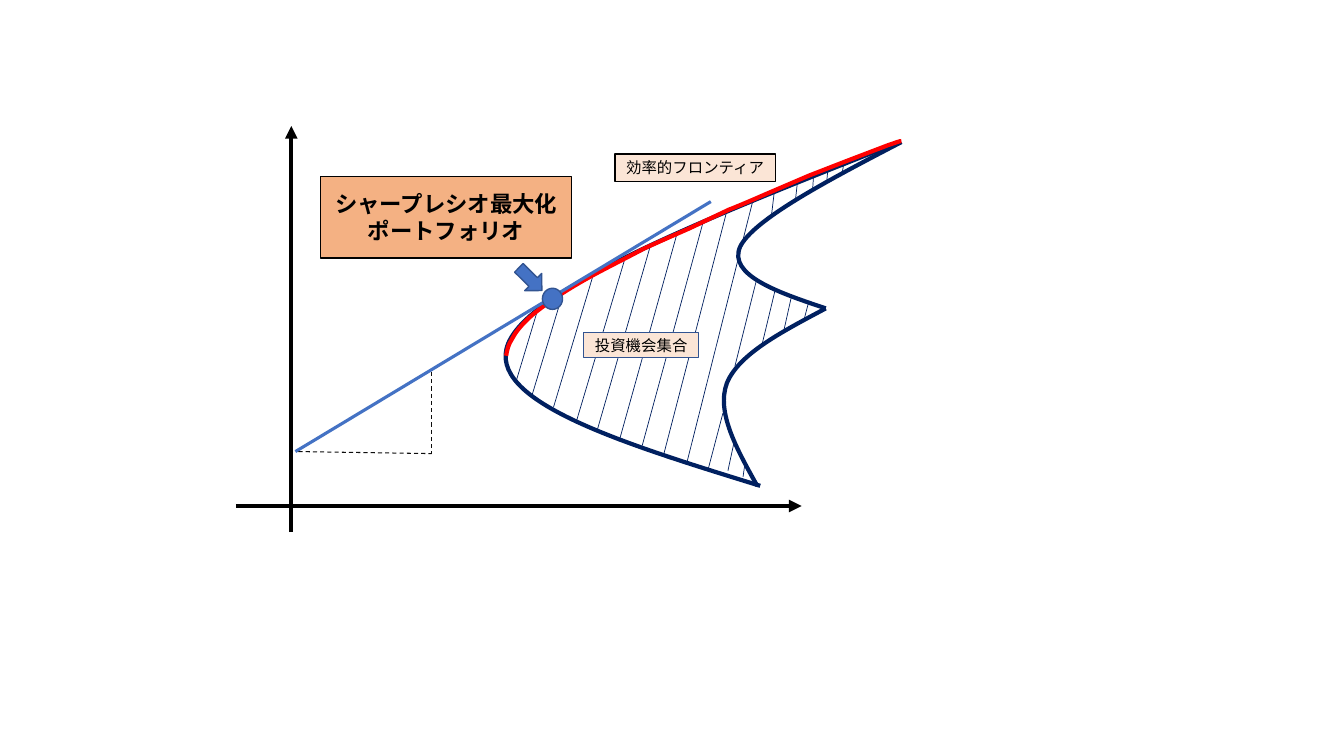
from pptx import Presentation
from pptx.dml.color import RGBColor
from pptx.enum.dml import MSO_LINE_DASH_STYLE as Dash
from pptx.enum.shapes import MSO_SHAPE as Preset
from pptx.enum.text import MSO_ANCHOR as Anchor, PP_ALIGN as Align
from pptx.oxml.ns import qn
from pptx.util import Emu, Pt
from lxml.etree import SubElement

PX = 9144  # EMU in one px, 100 px to the inch
SLIDE_SIZE = 1333, 750
FONT = "Noto Sans CJK JP"
BLACK, NAVY, RED = "000000", "002060", "FF0000"
BLUE, DARK_BLUE, DASH_GRAY = "4472C4", "325491", "0D0D0D"
PEACH, ORANGE = "FBE5D6", "F4B183"

AXES = [(289, 528, 289, 125), (234, 502, 795, 502)]

# Each curve: bounding box, start point, then segments as Bezier control points
# and end point; a segment of one point is straight.
UPPER_INNER_EDGE = (732, 141, 162, 166), (894, 141), [
    [(821, 179), (747, 218), (734, 245)],
    [(722, 273), (771, 290), (819, 306)],
]
LOWER_INNER_EDGE = (718, 306, 101, 176), (819, 306), [
    [(776, 329), (733, 351), (721, 380)],
    [(710, 409), (731, 446), (751, 482)],
]
OUTER_EDGE = (502, 141, 391, 341), (892, 141), [
    [(710, 213), (527, 284), (504, 341)],
    [(481, 398), (618, 440), (754, 482)],
]
EFFICIENT_FRONTIER = (502, 140, 392, 214), (502, 353), [
    [(503, 347), (504, 342), (508, 336)],
    [(511, 330), (516, 324), (522, 318)],
    [(529, 311), (537, 305), (549, 297)],
    [(560, 289), (577, 279), (592, 271)],
    [(607, 263), (623, 255), (638, 247)],
    [(653, 240), (683, 227), (683, 227)],
    [(723, 208)],
    [(736, 203), (761, 192), (761, 192)],
    [(803, 174)],
    [(816, 169), (839, 160), (839, 160)],
    [(881, 144)],
    [(890, 141), (892, 140), (894, 140)],
]

HATCHING = [
    (512, 378, 534, 305), (528, 391, 558, 292), (549, 404, 588, 274),
    (572, 417, 620, 256), (592, 428, 645, 244), (614, 438, 672, 230),
    (637, 442, 698, 218), (658, 452, 721, 209), (681, 460, 747, 198),
    (729, 363, 750, 279), (702, 467, 717, 410), (756, 341, 769, 287),
    (777, 330, 785, 294), (797, 319, 802, 300), (722, 467, 728, 439),
    (737, 473, 739, 459), (765, 215, 768, 190), (789, 198, 791, 180),
    (806, 188, 807, 173), (820, 180, 821, 169), (835, 173, 837, 162),
]

# text, box, fill, outline, text size, bold
SET_LABELS = [
    ("効率的フロンティア", (610, 153, 159, 27), PEACH, BLACK, 11, False),
    ("投資機会集合", (579, 330, 114, 25), PEACH, DARK_BLUE, 11, False),
]
SHARPE_LABEL = ("シャープレシオ最大化ポートフォリオ", (318, 175, 249, 81),
                ORANGE, BLACK, 16, True)

TANGENT = 293, 448, 705, 200
TANGENCY_POINT = 538, 286, 20, 21
POINTER, POINTER_ANGLE = (510, 265, 32, 24), 44.6
SLOPE_SIDES = [(296, 448, 428, 450), (428, 369, 428, 450)]


def rgb(color):
    return RGBColor.from_string(color)


def emu(lengths):
    return [Emu(length * PX) for length in lengths]


def set_line(shape, color, width):
    shape.line.color.rgb = rgb(color)
    shape.line.width = Pt(width)


def add_line(shapes, ends, color, width, dashed=False, arrow=False):
    line = shapes.add_connector(1, *emu(ends))
    set_line(line, color, width)
    if dashed:
        line.line.dash_style = Dash.DASH
    properties = line._element.spPr
    if arrow:
        SubElement(properties.find(qn("a:ln")), qn("a:tailEnd"), type="triangle")
    SubElement(properties, qn("a:effectLst"))


def add_curve(shapes, curve, color):
    """Add a freeform and bend its outline into Bezier segments."""
    box, start, segments = curve
    left, top, width, height = emu(box)
    builder = shapes.build_freeform(*emu(start))
    builder.add_line_segments([emu(segment[-1]) for segment in segments],
                              close=False)
    edge = builder.convert_to_shape()
    edge.left, edge.top, edge.width, edge.height = left, top, width, height

    outline = next(edge._element.iter(qn("a:path")))
    outline.set("w", str(width))
    outline.set("h", str(height))
    for step in list(outline):
        outline.remove(step)
    steps = [("a:moveTo", [start])]
    steps += [("a:lnTo" if len(segment) == 1 else "a:cubicBezTo", segment)
              for segment in segments]
    for tag, points in steps:
        step = SubElement(outline, qn(tag))
        for x, y in map(emu, points):
            SubElement(step, qn("a:pt"), x=str(x - left), y=str(y - top))

    edge.shadow.inherit = False
    edge.fill.background()
    set_line(edge, color, 3)


def add_preset(shapes, preset, box, fill, outline):
    shape = shapes.add_shape(preset, *emu(box))
    shape.shadow.inherit = False
    shape.fill.solid()
    shape.fill.fore_color.rgb = rgb(fill)
    set_line(shape, outline, 1)
    return shape


def add_label(shapes, text, box, fill, outline, size, bold):
    frame = add_preset(shapes, Preset.RECTANGLE, box, fill, outline).text_frame
    frame.word_wrap = True
    frame.vertical_anchor = Anchor.MIDDLE
    paragraph = frame.paragraphs[0]
    paragraph.alignment = Align.CENTER
    run = paragraph.add_run()
    run.text = text
    run.font.size, run.font.bold = Pt(size), bold
    run.font.color.rgb = rgb(BLACK)
    run.font.name = FONT
    SubElement(run.font._element, qn("a:ea"), typeface=FONT)


def main():
    deck = Presentation()
    deck.slide_width, deck.slide_height = emu(SLIDE_SIZE)
    shapes = deck.slides.add_slide(deck.slide_layouts[6]).shapes

    for axis in AXES:
        add_line(shapes, axis, BLACK, 3, arrow=True)
    for edge in (UPPER_INNER_EDGE, LOWER_INNER_EDGE):
        add_curve(shapes, edge, NAVY)
    for hatch in HATCHING:
        add_line(shapes, hatch, NAVY, 0.5)
    add_curve(shapes, OUTER_EDGE, NAVY)
    add_curve(shapes, EFFICIENT_FRONTIER, RED)
    for label in SET_LABELS:
        add_label(shapes, *label)

    add_line(shapes, TANGENT, BLUE, 2.25)
    add_preset(shapes, Preset.OVAL, TANGENCY_POINT, BLUE, DARK_BLUE)
    pointer = add_preset(shapes, Preset.RIGHT_ARROW, POINTER, BLUE, DARK_BLUE)
    pointer.rotation = POINTER_ANGLE
    add_label(shapes, *SHARPE_LABEL)
    for side in SLOPE_SIDES:
        add_line(shapes, side, DASH_GRAY, 0.75, dashed=True)

    deck.save("out.pptx")


if __name__ == "__main__":
    main()
